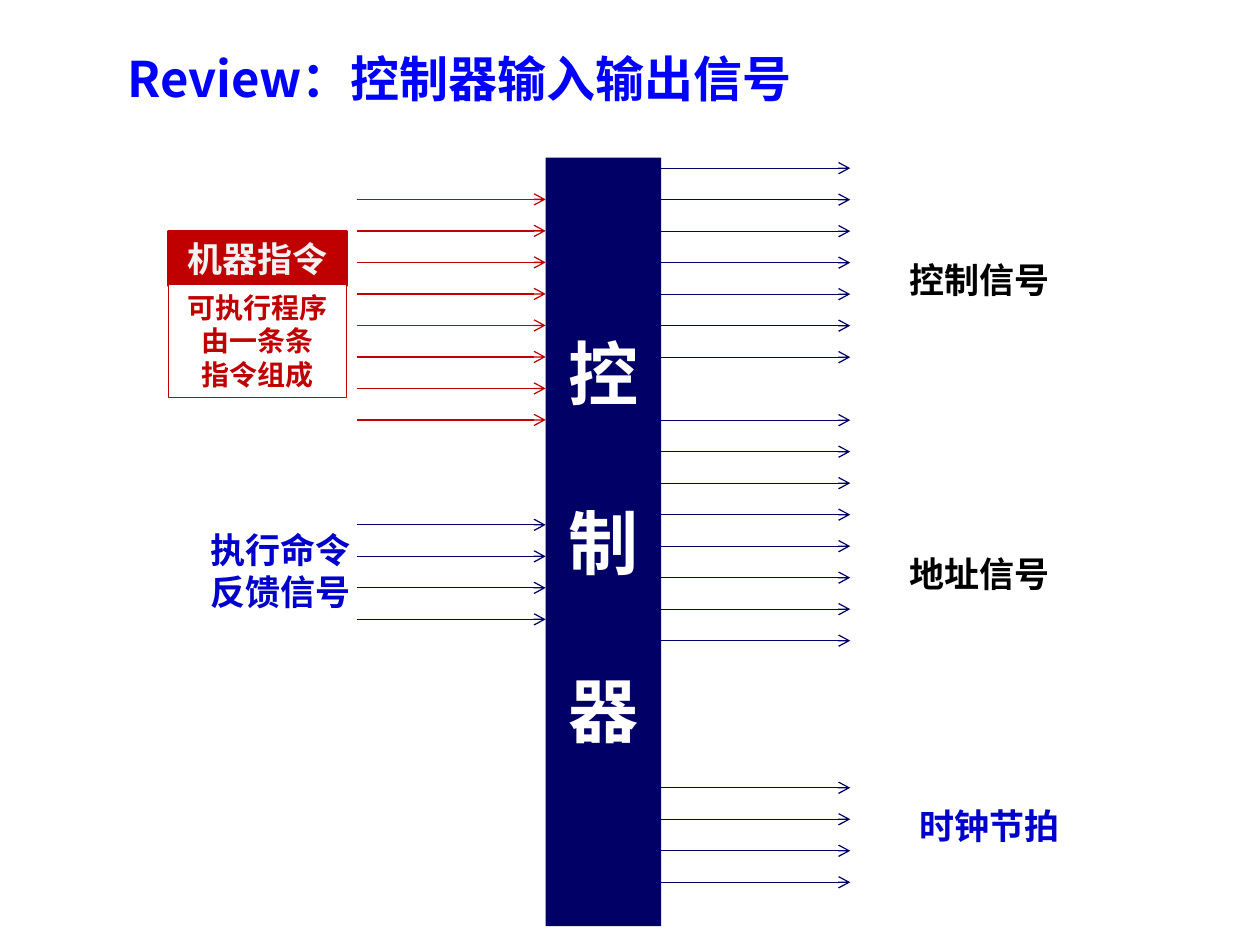
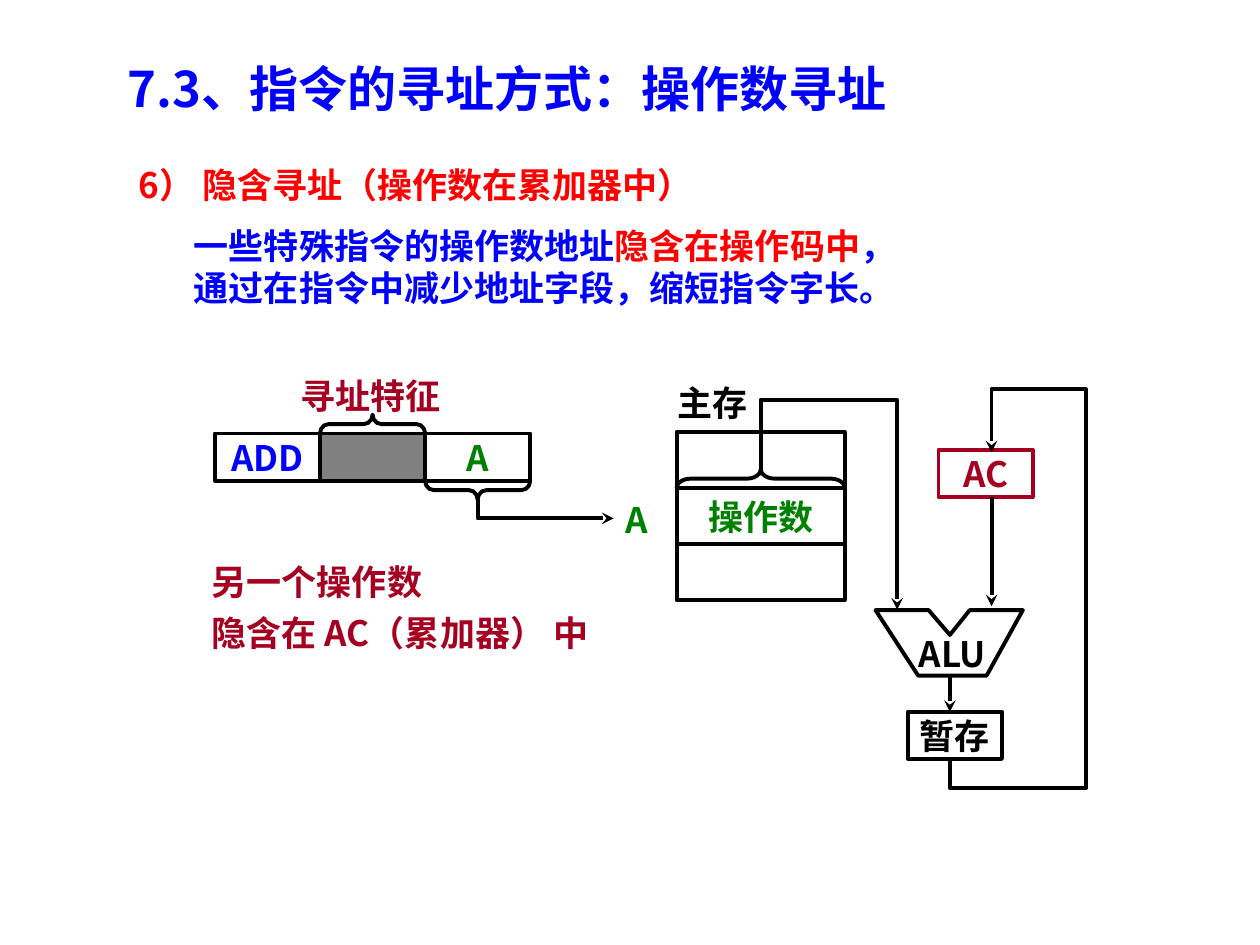
from pptx import Presentation
from pptx import util as u
from pptx.dml import color
from pptx.enum import shapes, text
from pptx.oxml import ns
from lxml import etree

FONT = "Noto Sans CJK SC"
BLUE, DEEP_BLUE, NAVY = "0000FF", "0000CC", "000066"
RED, DARK_RED, MAROON = "FF0000", "C00000", "A50021"
GREEN, BLACK, WHITE, PALE, GRAY = "008000", "000000", "FFFFFF", "F2F2F2", "808080"
CENTER, LEFT = text.PP_ALIGN.CENTER, text.PP_ALIGN.LEFT
TOP, MIDDLE = text.MSO_ANCHOR.TOP, text.MSO_ANCHOR.MIDDLE
THICK = 2.25
LABEL_WIDTH, LINE_HEIGHT = 3.33, 1.11
BRACE_DEPTH = 0.38


def rgb(hex_string):
    return color.RGBColor.from_string(hex_string)


# Shared helpers; every length is in centimetres
def write(shape, lines, size=20, ink=BLACK, align=CENTER, anchor=TOP,
          wrap=False, leading=1.2, gap=0):
    """Each line is a string or a list of (string, colour) runs."""
    frame = shape.text_frame
    frame.word_wrap = wrap
    frame.vertical_anchor = anchor
    for index, line in enumerate(lines):
        paragraph = frame.add_paragraph() if index else frame.paragraphs[0]
        paragraph.alignment = align
        paragraph.line_spacing = u.Pt(size * leading)
        if index:
            paragraph.space_before = u.Pt(gap)
        for words, run_ink in [(line, ink)] if isinstance(line, str) else line:
            run = paragraph.add_run()
            run.text = words
            run.font.name, run.font.size, run.font.bold = FONT, u.Pt(size), True
            run.font.color.rgb = rgb(run_ink)
            east_asian = etree.SubElement(run.font._element, ns.qn("a:ea"))
            east_asian.set("typeface", FONT)


def add_text(slide, left, top, width, height, lines, **style):
    box = slide.shapes.add_textbox(u.Cm(left), u.Cm(top), u.Cm(width), u.Cm(height))
    write(box, lines, **style)


def finish(shape, fill=None, line=None, weight=THICK):
    shape.shadow.inherit = False
    if fill:
        shape.fill.solid()
        shape.fill.fore_color.rgb = rgb(fill)
    else:
        shape.fill.background()
    if line:
        shape.line.color.rgb = rgb(line)
        shape.line.width = u.Pt(weight)
    else:
        shape.line.fill.background()


def add_box(slide, left, top, width, height, fill=None, line=BLACK, weight=THICK):
    box = slide.shapes.add_shape(shapes.MSO_SHAPE.RECTANGLE, u.Cm(left), u.Cm(top),
                                 u.Cm(width), u.Cm(height))
    finish(box, fill, line, weight)
    return box


def add_arrowhead(shape, kind):
    etree.SubElement(shape.line._get_or_add_ln(), ns.qn("a:tailEnd")).set("type", kind)


def add_arrow(slide, start, end, ink=BLACK, weight=THICK, head="stealth"):
    arrow = slide.shapes.add_connector(
        shapes.MSO_CONNECTOR.STRAIGHT, *(u.Cm(value) for value in (*start, *end)))
    arrow.line.color.rgb = rgb(ink)
    arrow.line.width = u.Pt(weight)
    add_arrowhead(arrow, head)
    etree.SubElement(arrow._element.spPr, ns.qn("a:effectLst"))


def add_path(slide, left, top, points, closed=False, head=None):
    """Outline through points given relative to (left, top)."""
    places = [(u.Cm(left + x), u.Cm(top + y)) for x, y in points]
    builder = slide.shapes.build_freeform(*places[0])
    builder.add_line_segments(places[1:], close=closed)
    outline = builder.convert_to_shape()
    finish(outline, line=BLACK)
    if head:
        add_arrowhead(outline, head)


def add_brace(slide, left, top, length, rotation):
    """Horizontal brace: rotation 90 points up, 270 points down."""
    brace = slide.shapes.add_shape(
        shapes.MSO_SHAPE.LEFT_BRACE,
        u.Cm(left + (length - BRACE_DEPTH) / 2), u.Cm(top + (BRACE_DEPTH - length) / 2),
        u.Cm(BRACE_DEPTH), u.Cm(length))
    brace.adjustments[0] = length / 12 / BRACE_DEPTH
    brace.rotation = rotation
    finish(brace, line=BLACK)


def add_title(slide, top, words):
    add_text(slide, 2.32, top, 18, 1.45, [words], size=28, ink=BLUE,
             align=LEFT, wrap=True)


# Slide 1: controller signals
def add_signals(slide, left, top, count, ink=NAVY):
    length, step = 3.81, 2.54 / 4
    for index in range(count):
        y = top + index * step
        add_arrow(slide, (left, y), (left + length, y), ink, 0.75, "arrow")


def add_controller(slide, left, top, width, height):
    controller = add_box(slide, left, top, width, height, NAVY, line=None)
    write(controller, "控制器", size=40, ink=WHITE, wrap=True, gap=48.3)
    controller.text_frame.margin_top = u.Cm(3.49)


def add_machine_instruction(slide, left, top, width):
    heading = add_box(slide, left, top, width, LINE_HEIGHT, DARK_RED, DARK_RED, 1.5)
    write(heading, ["机器指令"], ink=PALE)
    body = add_box(slide, left, top + 1.07, width, 2.28, WHITE, DARK_RED, 0.75)
    write(body, ["可执行程序", "由一条条", "指令组成"], size=16, ink=DARK_RED)


def build_signal_slide(slide):
    add_title(slide, 0.86, "Review：控制器输入输出信号")
    add_controller(slide, 11, 3.18, 2.33, 15.49)
    # Inputs
    add_signals(slide, 7.19, 4.02, 8, DARK_RED)
    add_signals(slide, 7.19, 10.58, 4)
    add_machine_instruction(slide, 3.4, 4.66, 3.59)
    add_text(slide, 3.99, 10.52, LABEL_WIDTH, 1.95, ["执行命令", "反馈信号"],
             ink=DEEP_BLUE)
    # Outputs: first arrow, arrow count, label place, label
    for arrow_top, count, label_left, label_top, label, ink in (
            (3.39, 7, 18.08, 5.08, "控制信号", BLACK),
            (8.47, 8, 18.08, 11.01, "地址信号", BLACK),
            (15.88, 4, 18.29, 16.1, "时钟节拍", DEEP_BLUE)):
        add_signals(slide, 13.33, arrow_top, count)
        add_text(slide, label_left, label_top, LABEL_WIDTH, LINE_HEIGHT, [label], ink=ink)


# Slide 2: implied addressing
def add_explanation(slide, left, top):
    style = dict(align=LEFT, wrap=True)
    add_text(slide, left, top, 12.5, LINE_HEIGHT, ["6） 隐含寻址（操作数在累加器中）"],
             ink=RED, **style)
    add_text(slide, left + 1.12, top + 1.23, 15.5, 2.8, [
        [("一些特殊指令的操作数地址", BLUE), ("隐含在操作码中", RED), ("，", BLUE)],
        "通过在指令中减少地址字段，缩短指令字长。"], ink=BLUE, **style)


def add_instruction_format(slide, left, top, cell_width, height):
    fields = (("ADD", BLUE, None), ("", BLACK, GRAY), ("A", GREEN, None))
    for index, (label, ink, fill) in enumerate(fields):
        cell = add_box(slide, left + index * cell_width, top, cell_width, height, fill)
        if label:
            write(cell, [label], ink=ink, anchor=MIDDLE)
    # Addressing feature above, address below
    add_brace(slide, left + cell_width, top - BRACE_DEPTH, cell_width, 90)
    add_text(slide, left + 1.48, top - 1.32, LABEL_WIDTH, LINE_HEIGHT, ["寻址特征"],
             ink=MAROON)
    add_brace(slide, left + 2 * cell_width, top + height, cell_width, 270)
    add_path(slide, left + 2.5 * cell_width, top + height + BRACE_DEPTH,
             [(0, 0), (0, 0.38), (2.74, 0.38)], head="stealth")
    add_text(slide, left + 8.01, top + 1.19, 1, LINE_HEIGHT, ["A"], ink=GREEN)


def add_memory(slide, left, top, width, row_height):
    for index, label in enumerate(("", "操作数", "")):
        row = add_box(slide, left, top + index * row_height, width, row_height)
        if label:
            write(row, [label], ink=GREEN, anchor=MIDDLE)
    add_text(slide, left - 0.57, top - 1.14, 2.6, LINE_HEIGHT, ["主存"])
    # Operand goes to the ALU
    add_brace(slide, left, top + row_height - BRACE_DEPTH, width, 90)
    add_path(slide, left + width / 2, top,
             [(0, 0.78), (0, -0.65), (2.75, -0.65), (2.75, 3.58)], head="stealth")


def add_accumulator_loop(slide, left, top):
    for x, y, label, ink in ((1.27, 1.22, "AC", MAROON), (0.65, 6.5, "暂存", BLACK)):
        register = add_box(slide, left + x, top + y, 1.9, 0.95, line=ink)
        write(register, [label], ink=ink, anchor=MIDDLE)
    # ALU
    add_path(slide, left, top, [(0, 4.45), (1.07, 4.45), (1.5, 4.95), (1.9, 4.45),
                                (2.97, 4.45), (2.24, 5.77), (0.86, 5.77)], closed=True)
    add_text(slide, left + 0.25, top + 4.78, 2.6, LINE_HEIGHT, ["ALU"])
    # AC to ALU, ALU to buffer, buffer back to AC
    for x, start, end in ((2.34, 2.16, 4.37), (1.5, 5.77, 6.5)):
        add_arrow(slide, (left + x, top + start), (left + x, top + end))
    add_path(slide, left, top, [(1.5, 7.45), (1.5, 8.04), (4.24, 8.04), (4.24, 0),
                                (2.34, 0), (2.34, 1.27)], head="stealth")


def build_addressing_slide(slide):
    add_title(slide, 1.06, "7.3、指令的寻址方式：操作数寻址")
    add_explanation(slide, 2.54, 3.18)
    add_instruction_format(slide, 4.33, 8.74, 2.12, 0.95)
    add_memory(slide, 13.64, 8.71, 3.39, 1.13)
    add_accumulator_loop(slide, 17.65, 7.85)
    add_text(slide, 4.02, 11, 9.4, 2.29, ["另一个操作数", "隐含在 AC（累加器） 中"],
             ink=MAROON, align=LEFT, wrap=True, leading=1.45)


def main():
    presentation = Presentation()
    presentation.slide_width, presentation.slide_height = u.Cm(25.4), u.Cm(19.05)
    blank = presentation.slide_layouts[6]
    for build in (build_signal_slide, build_addressing_slide):
        build(presentation.slides.add_slide(blank))
    presentation.save("out.pptx")


if __name__ == "__main__":
    main()
